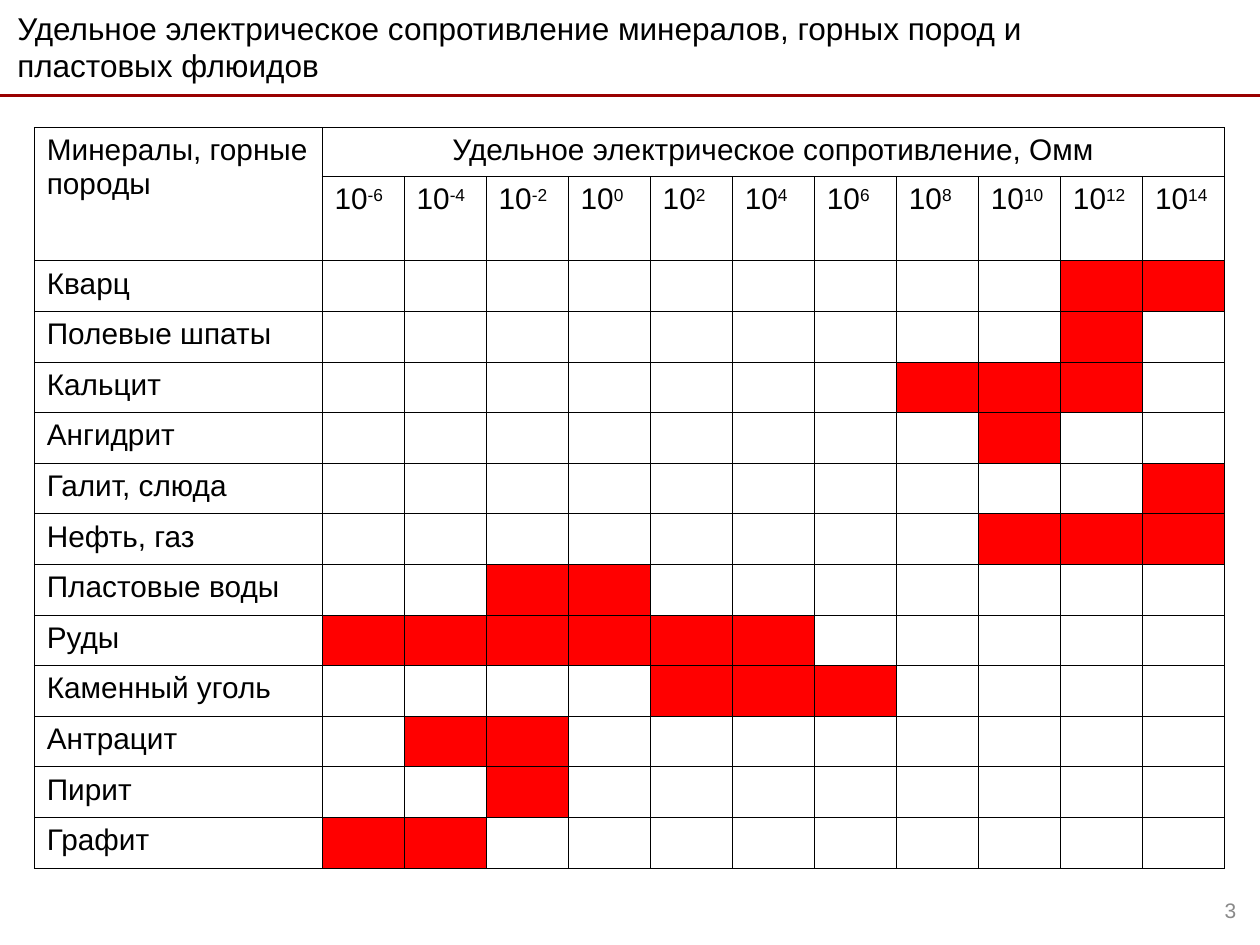
import pptx
import pptx.dml.color
import pptx.enum.shapes
import pptx.enum.text
import pptx.oxml
import pptx.oxml.ns
import pptx.util

Cm = pptx.util.Cm
Pt = pptx.util.Pt
ALIGN = pptx.enum.text.PP_ALIGN

BLACK, WHITE, RED, DARK_RED, GRAY = "000000", "FFFFFF", "FF0000", "990000", "898989"
EXPONENTS = range(-6, 15, 2)
# Name, then the first and last exponent of its resistivity range
MATERIALS = [
    ("Кварц", 12, 14),
    ("Полевые шпаты", 12, 12),
    ("Кальцит", 8, 12),
    ("Ангидрит", 10, 10),
    ("Галит, слюда", 14, 14),
    ("Нефть, газ", 10, 14),
    ("Пластовые воды", -2, 0),
    ("Руды", -6, 4),
    ("Каменный уголь", 2, 6),
    ("Антрацит", -4, -2),
    ("Пирит", -2, -2),
    ("Графит", -6, -4),
]


def color(hex_value):
    return pptx.dml.color.RGBColor.from_string(hex_value)


def write(frame, text, size, hex_value, align=ALIGN.LEFT, exponent=""):
    """Fill a text frame with one paragraph, with an optional superscript."""
    para = frame.paragraphs[0]
    para.text = text
    para.alignment = align
    if exponent:
        span = para.add_run()
        span.text = exponent
        span.font._element.set("baseline", "30000")
    for span in para.runs:
        span.font.name = "Arial"
        span.font.size = Pt(size)
        span.font.color.rgb = color(hex_value)


deck = pptx.Presentation()
deck.slide_width, deck.slide_height = Cm(25.4), Cm(19.05)
page = deck.slides.add_slide(deck.slide_layouts[6])

# Page number
number_box = page.shapes.add_textbox(Cm(19.25), Cm(17.83), Cm(5.92), Cm(1.02))
number_box.text_frame.word_wrap = True
number_box.text_frame.vertical_anchor = pptx.enum.text.MSO_ANCHOR.MIDDLE
write(number_box.text_frame, "3", 12, GRAY, ALIGN.RIGHT)

# Title and the rule below it
title_box = page.shapes.add_textbox(Cm(0.1), Cm(0.05), Cm(23.8), Cm(1.78))
title_box.text_frame.word_wrap = True
title_box.text_frame.margin_right = Cm(1)
write(title_box.text_frame,
      "Удельное электрическое сопротивление минералов, горных пород и пластовых флюидов",
      18, BLACK)

rule = page.shapes.add_connector(
    pptx.enum.shapes.MSO_CONNECTOR.STRAIGHT, 0, Cm(1.93), deck.slide_width, Cm(1.93))
rule.line.color.rgb = color(DARK_RED)
rule.line.width = Pt(1.5)
rule._element.spPr.append(pptx.oxml.parse_xml(
    f"<a:effectLst {pptx.oxml.ns.nsdecls('a')}/>"))

# Resistivity table
row_heights = [0.99, 1.69] + [1.02] * len(MATERIALS)
column_widths = [5.8] + [18.2 / len(EXPONENTS)] * len(EXPONENTS)
table = page.shapes.add_table(
    len(row_heights), len(column_widths),
    Cm(0.69), Cm(2.57), Cm(sum(column_widths)), Cm(sum(row_heights))).table
table.first_row = table.horz_banding = False
for row, height in zip(table.rows, row_heights):
    row.height = Cm(height)
for column, width in zip(table.columns, column_widths):
    column.width = Cm(width)

for cell in table.iter_cells():
    properties = cell._tc.get_or_add_tcPr()
    for side in ("lnL", "lnR", "lnT", "lnB"):
        properties.append(pptx.oxml.parse_xml(
            f"<a:{side} {pptx.oxml.ns.nsdecls('a')} w='{Pt(0.45)}'>"
            f"<a:solidFill><a:srgbClr val='{BLACK}'/></a:solidFill></a:{side}>"))
    cell.fill.solid()
    cell.fill.fore_color.rgb = color(WHITE)

table.cell(0, 0).merge(table.cell(1, 0))
table.cell(0, 1).merge(table.cell(0, len(EXPONENTS)))
write(table.cell(0, 0).text_frame, "Минералы, горные породы", 17, BLACK)
write(table.cell(0, 1).text_frame, "Удельное электрическое сопротивление, Омм",
      17, BLACK, ALIGN.CENTER)
for column_index, exponent in enumerate(EXPONENTS, 1):
    write(table.cell(1, column_index).text_frame, "10", 17, BLACK, exponent=str(exponent))

for row_index, (name, lowest, highest) in enumerate(MATERIALS, 2):
    write(table.cell(row_index, 0).text_frame, name, 17, BLACK)
    for column_index, exponent in enumerate(EXPONENTS, 1):
        if lowest <= exponent <= highest:
            table.cell(row_index, column_index).fill.fore_color.rgb = color(RED)

deck.save("out.pptx")
